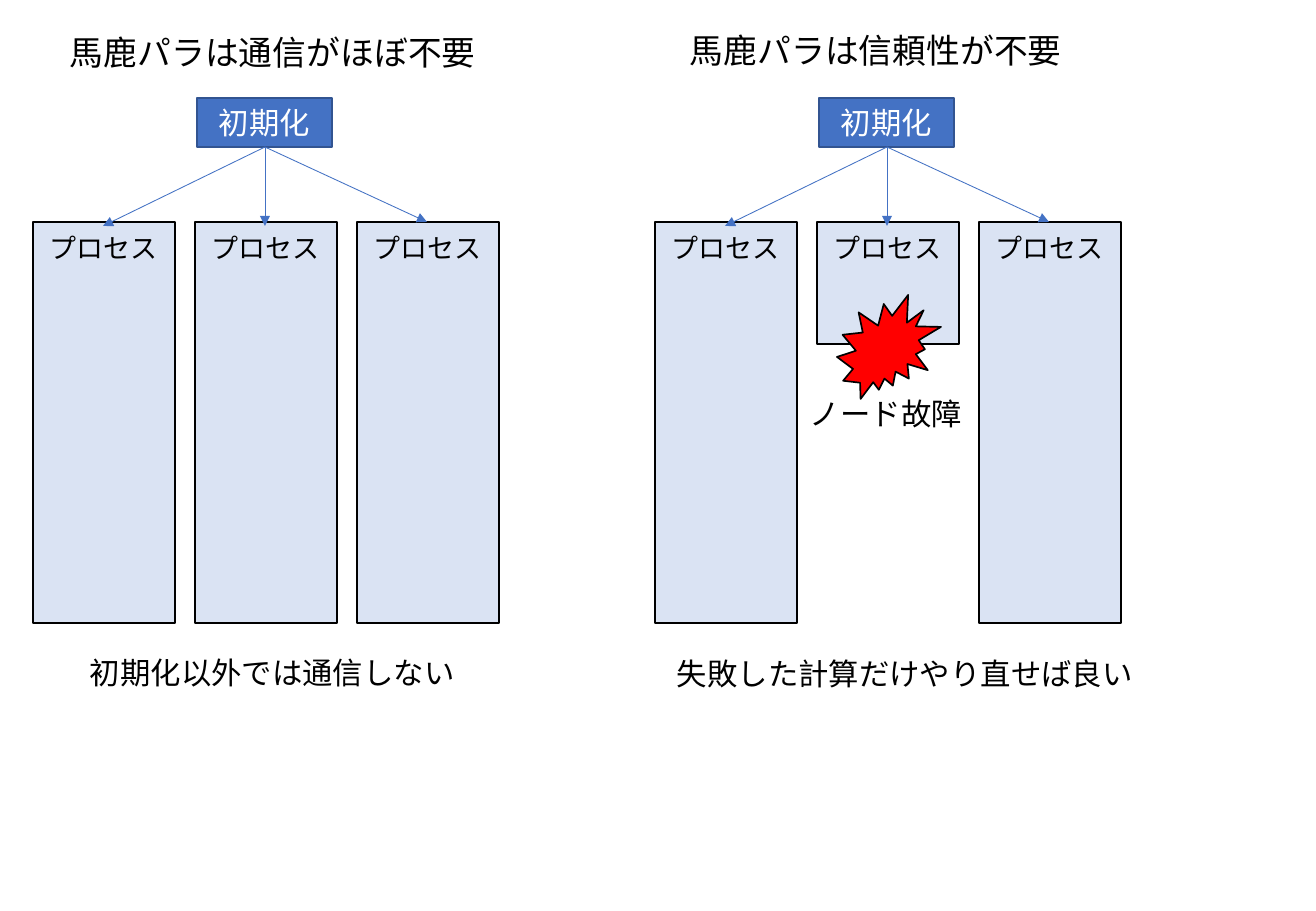
from lxml import etree
from pptx import Presentation
from pptx import util as u
from pptx.dml.color import RGBColor
from pptx.enum import shapes, text
from pptx.oxml import ns

BLACK = RGBColor(0x00, 0x00, 0x00)
WHITE = RGBColor(0xFF, 0xFF, 0xFF)
BLUE = RGBColor(0x44, 0x72, 0xC4)
DARK_BLUE = RGBColor(0x32, 0x54, 0x91)
PALE_BLUE = RGBColor(0xDA, 0xE3, 0xF3)
RED = RGBColor(0xFF, 0x00, 0x00)

EMU_PER_PIXEL = 914400 / 121.5
PANEL_PITCH = 622
PROCESS_LEFT, PROCESS_TOP, PROCESS_PITCH = 33, 222, 162
PROCESS_WIDTH, PROCESS_HEIGHT, FAILED_HEIGHT = 142, 401, 122
INIT_LEFT, INIT_TOP, INIT_WIDTH, INIT_HEIGHT = 197, 98, 135, 49


def px(*lengths):
    return [u.Emu(round(length * EMU_PER_PIXEL)) for length in lengths]


def write(frame, words, size=18, color=BLACK, align=None, anchor=None, wrap=True):
    frame.word_wrap = wrap
    if anchor is not None:
        frame.vertical_anchor = anchor
    paragraph = frame.paragraphs[0]
    if align is not None:
        paragraph.alignment = align
    run = paragraph.add_run()
    run.text = words
    run.font.name = "Calibri"
    run.font.size = u.Pt(size)
    run.font.color.rgb = color


class Board:
    def __init__(self, slide):
        self.slide = slide

    def box(self, at, fill, line, kind=shapes.MSO_SHAPE.RECTANGLE, parent=None):
        shape = (parent or self.slide).shapes.add_shape(kind, *px(*at))
        shape.shadow.inherit = False
        shape.fill.solid()
        shape.fill.fore_color.rgb = fill
        shape.line.color.rgb = line
        shape.line.width = u.Pt(1)
        return shape

    def label(self, at, words, parent=None, **style):
        frame = (parent or self.slide).shapes.add_textbox(*px(*at)).text_frame
        frame.auto_size = text.MSO_AUTO_SIZE.SHAPE_TO_FIT_TEXT
        write(frame, words, **style)

    def arrow(self, start, end):
        link = self.slide.shapes.add_connector(
            shapes.MSO_CONNECTOR.STRAIGHT, *px(*start, *end))
        link.line.color.rgb = BLUE
        link.line.width = u.Pt(0.5)
        etree.SubElement(link.line._get_or_add_ln(), ns.qn("a:tailEnd"), type="triangle")
        etree.SubElement(link._element.spPr, ns.qn("a:effectLst"))

    def process(self, left, failed):
        parent = self.slide if failed else self.slide.shapes.add_group_shape()
        height = FAILED_HEIGHT if failed else PROCESS_HEIGHT
        self.box((left, PROCESS_TOP, PROCESS_WIDTH, height), PALE_BLUE, BLACK,
                 parent=parent)
        self.label((left, PROCESS_TOP + 4, PROCESS_WIDTH - 1, 45), "プロセス",
                   parent=parent, size=16, align=text.PP_ALIGN.CENTER)

    def panel(self, offset, heading, heading_at, failed_process=None):
        self.label(heading_at, heading, size=20, wrap=False)
        init = self.box((offset + INIT_LEFT, INIT_TOP, INIT_WIDTH, INIT_HEIGHT),
                        BLUE, DARK_BLUE)
        write(init.text_frame, "初期化", color=WHITE, align=text.PP_ALIGN.CENTER,
              anchor=text.MSO_ANCHOR.MIDDLE)
        lefts = [offset + PROCESS_LEFT + i * PROCESS_PITCH for i in range(3)]
        for i, left in enumerate(lefts):
            self.process(left, i == failed_process)
        init_bottom = (offset + INIT_LEFT + INIT_WIDTH // 2 + 1, INIT_TOP + INIT_HEIGHT)
        for left, drop in zip(lefts, (4, 4, 0)):
            self.arrow(init_bottom, (left + PROCESS_WIDTH // 2 - 1, PROCESS_TOP + drop))


deck = Presentation()
deck.slide_width, deck.slide_height = px(1316, 911)
board = Board(deck.slides.add_slide(deck.slide_layouts[6]))

board.panel(0, "馬鹿パラは通信がほぼ不要", (58, 26, 434, 53))
board.label((78, 648, 392, 49), "初期化以外では通信しない", wrap=False)

board.panel(PANEL_PITCH, "馬鹿パラは信頼性が不要", (678, 24, 400, 53),
            failed_process=1)
board.box((837, 295, 104, 104), RED, BLACK, kind=shapes.MSO_SHAPE.EXPLOSION2)
board.label((798, 389, 177, 49), "ノード故障", wrap=False)
board.label((665, 649, 485, 49), "失敗した計算だけやり直せば良い", wrap=False)

deck.save("out.pptx")
